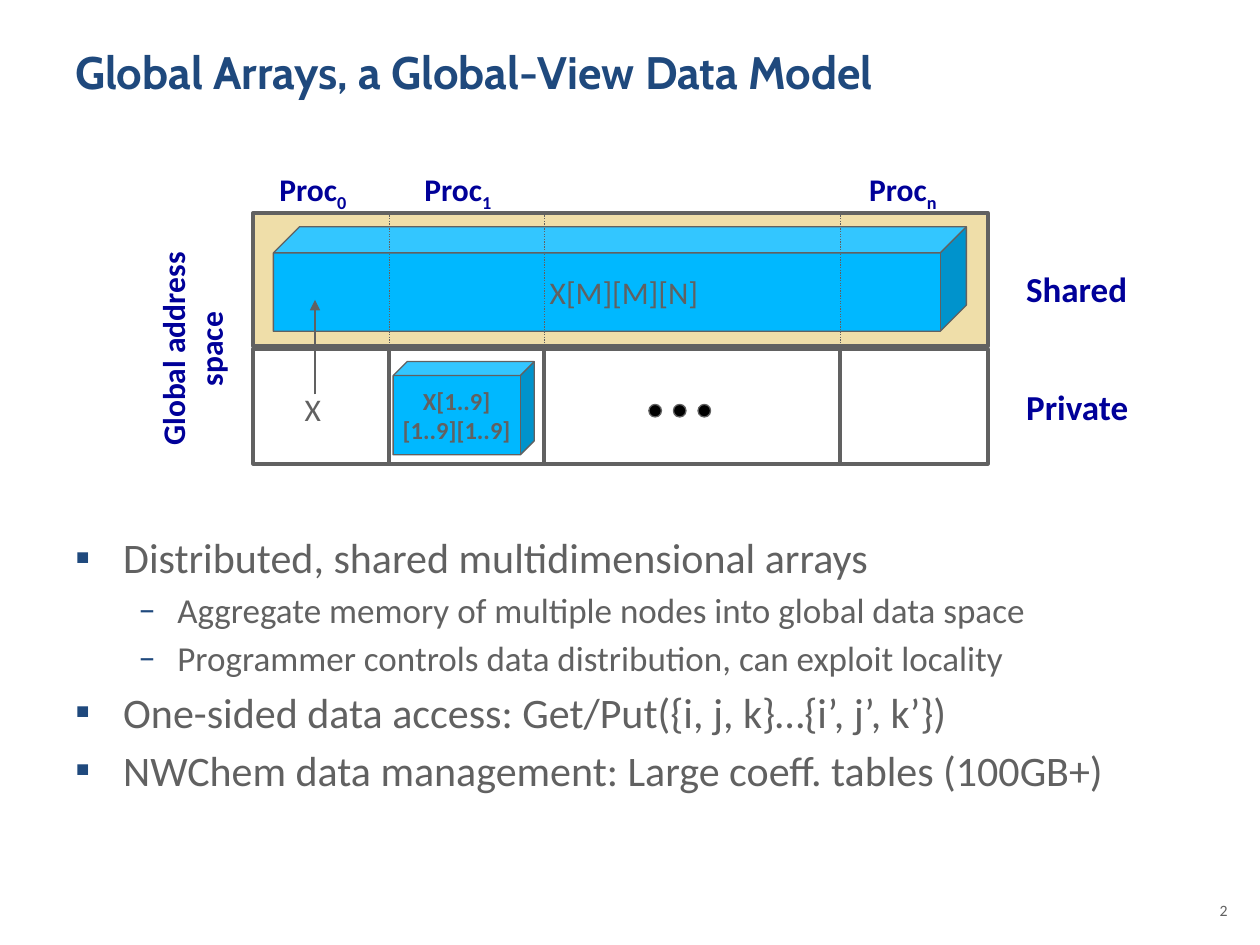
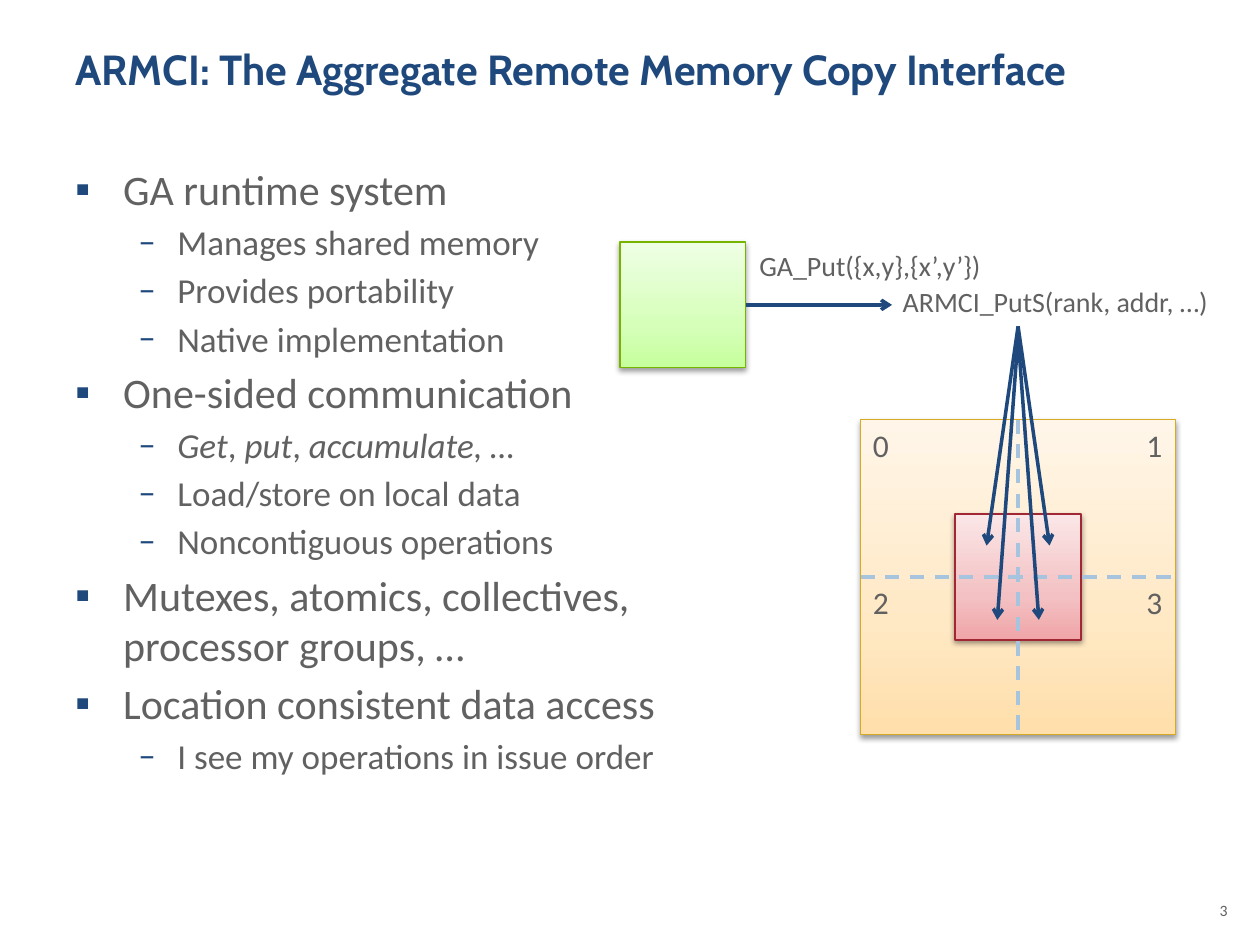
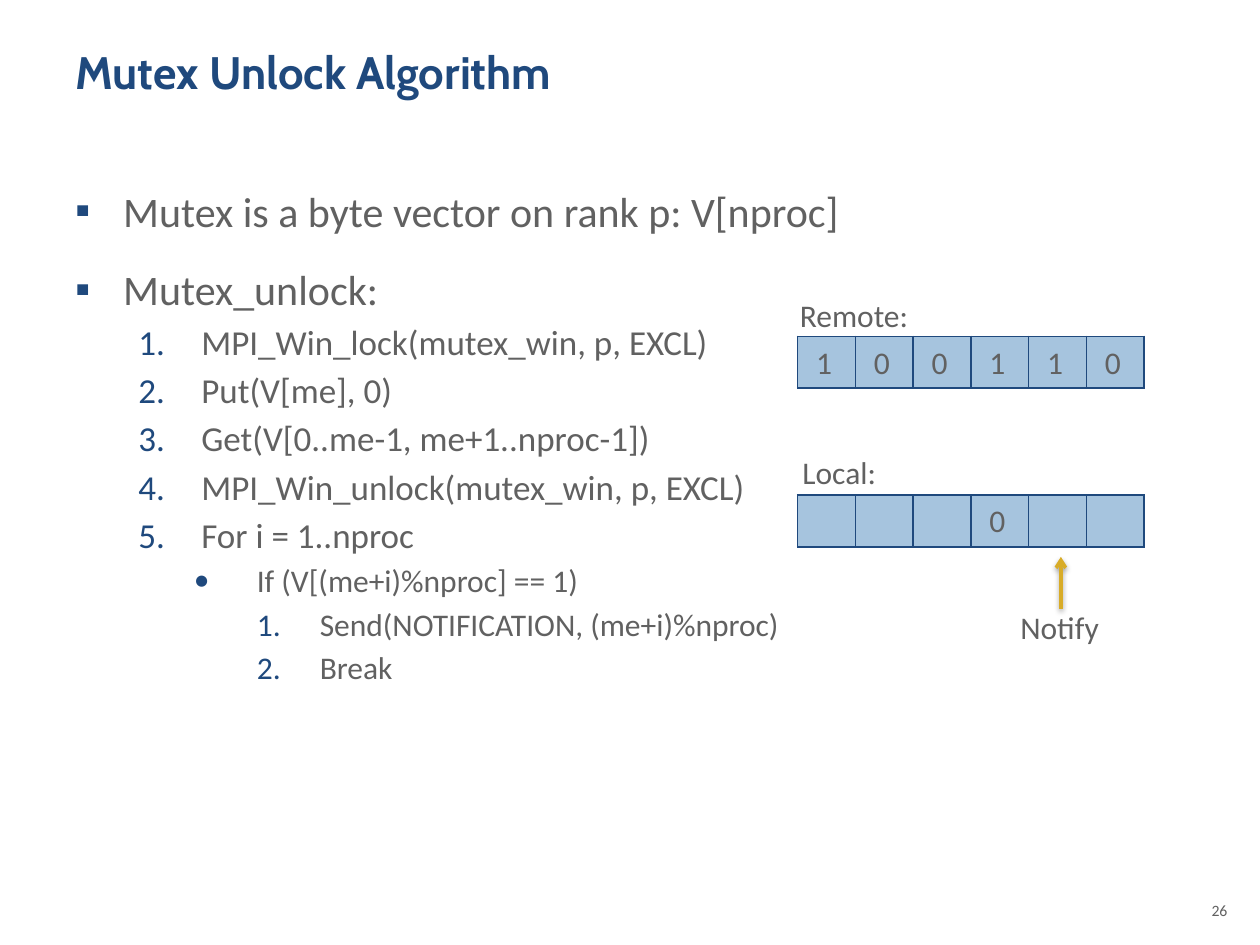
from copy import deepcopy
from dataclasses import dataclass

from lxml.etree import SubElement
from pptx import Presentation
from pptx.dml.color import RGBColor
from pptx.enum.dml import MSO_LINE
from pptx.enum.shapes import MSO_CONNECTOR, MSO_SHAPE
from pptx.enum.text import MSO_ANCHOR, PP_ALIGN
from pptx.oxml import parse_xml
from pptx.oxml.ns import nsdecls, qn
from pptx.util import Inches, Pt

RECT, CUBE, OVAL = MSO_SHAPE.RECTANGLE, MSO_SHAPE.CUBE, MSO_SHAPE.OVAL
LEFT, CENTER, RIGHT = PP_ALIGN.LEFT, PP_ALIGN.CENTER, PP_ALIGN.RIGHT
TOP, MIDDLE = MSO_ANCHOR.TOP, MSO_ANCHOR.MIDDLE
DASH, DOT = MSO_LINE.DASH, MSO_LINE.ROUND_DOT


@dataclass(frozen=True)
class Theme:
    title_font: str = "Cabin"
    text_font: str = "Calibri"
    navy: str = "1F497D"
    gray: str = "616161"
    label_blue: str = "000099"
    sand: str = "EFDEA9"
    cyan: str = "00B8FF"
    black: str = "000000"
    pale_blue: str = "A6C4DE"
    gold: str = "D8AC28"
    title_size: int = 26
    long_title_size: int = 24
    axis_size: int = 20
    label_size: int = 18
    call_size: int = 16
    block_size: int = 14
    number_size: int = 9
    space_share: float = 0.18


THEME = Theme()
SHADOW = (f'<a:outerShdw {nsdecls("a")} blurRad="40000" dist="20000" dir="5400000" '
          'rotWithShape="0"><a:srgbClr val="000000"><a:alpha val="38000"/>'
          '</a:srgbClr></a:outerShdw>')

# outline style: level, type size, left margin, hanging indent, bullet tag and attributes
NUMBERED = ("a:buAutoNum", {"type": "arabicPeriod"})
OUTLINE = {
    "point": (0, 24, 0.38, 0.38, "a:buChar", {"char": "▪"}),
    "detail": (1, 20, 0.81, 0.31, "a:buChar", {"char": "–"}),
    "step": (1, 20, 1, 0.5, *NUMBERED),
    "test": (2, 18, 1.44, 0.5, "a:buChar", {"char": "•"}),
    "substep": (3, 18, 1.94, 0.5, *NUMBERED),
}
ITALIC = {"italic": True}

PAGES = [
    ("Global Arrays, a Global-View Data Model", THEME.title_size, "2", 4.17, [
        ("point", "Distributed, shared multidimensional arrays"),
        ("detail", "Aggregate memory of multiple nodes into global data space"),
        ("detail", "Programmer controls data distribution, can exploit locality"),
        ("point", "One-sided data access: Get/Put({i, j, k}…{i’, j’, k’})"),
        ("point", "NWChem data management: Large coeff. tables (100GB+)"),
    ]),
    ("ARMCI: The Aggregate Remote Memory Copy Interface", THEME.long_title_size, "3", 1.25, [
        ("point", "GA runtime system"),
        ("detail", "Manages shared memory"),
        ("detail", "Provides portability"),
        ("detail", "Native implementation"),
        ("point", "One-sided communication"),
        ("detail", [("Get", ITALIC), (", ", {}), ("put", ITALIC), (", ", {}),
                    ("accumulate, …", ITALIC)]),
        ("detail", "Load/store on local data"),
        ("detail", "Noncontiguous operations"),
        ("point", [("Mutexes, atomics, collectives,", {}), ("\n", {}),
                   ("processor groups, …", {})]),
        ("point", "Location consistent data access"),
        ("detail", "I see my operations in issue order"),
    ]),
    ("Mutex Unlock Algorithm", THEME.title_size, "26", 1.42, [
        ("point", "Mutex is a byte vector on rank p: V[nproc]"),
        ("point", "Mutex_unlock:"),
        ("step", "MPI_Win_lock(mutex_win, p, EXCL)"),
        ("step", "Put(V[me], 0)"),
        ("step", "Get(V[0..me-1, me+1..nproc-1])"),
        ("step", "MPI_Win_unlock(mutex_win, p, EXCL)"),
        ("step", "For i = 1..nproc"),
        ("test", "If (V[(me+i)%nproc] == 1)"),
        ("substep", "Send(NOTIFICATION, (me+i)%nproc)"),
        ("substep", "Break"),
    ]),
]


def write(shape, lines, size=THEME.label_size, color=THEME.gray, bold=False,
          font=THEME.text_font, align=LEFT, anchor=TOP, wrap=True):
    """Fill a shape with lines; a line is a string or a list of (text, font overrides)."""
    frame = shape.text_frame
    frame.word_wrap, frame.vertical_anchor = wrap, anchor
    for index, line in enumerate(lines):
        paragraph = frame.add_paragraph() if index else frame.paragraphs[0]
        paragraph.alignment = align
        for text, overrides in [(line, {})] if isinstance(line, str) else line:
            if text == "\n":
                paragraph.add_line_break()
                continue
            run = paragraph.add_run()
            run.text = text
            look = {"name": font, "size": Pt(size), "bold": bold, **overrides}
            for name, value in look.items():
                setattr(run.font, name, value)
            run.font.color.rgb = RGBColor.from_string(color)
    return shape


def add_line(slide, start, end, color, width, dash=None, head=None):
    line = slide.shapes.add_connector(MSO_CONNECTOR.STRAIGHT, *map(Inches, (*start, *end)))
    line.line.color.rgb = RGBColor.from_string(color)
    line.line.width = Pt(width)
    if dash:
        line.line.dash_style = dash
    if head:
        SubElement(line.line._get_or_add_ln(), qn("a:tailEnd"), type=head)
    SubElement(line._element.spPr, qn("a:effectLst"))
    return line


deck = Presentation()
deck.slide_width, deck.slide_height = Inches(10), Inches(7.5)

# Titles, outlines and page numbers
for title, title_size, number, body_top, outline in PAGES:
    slide = deck.slides.add_slide(deck.slide_layouts[6])
    write(slide.shapes.add_textbox(*map(Inches, (0.5, 0.3, 9, 1.03))), [title],
          title_size, THEME.navy, True, THEME.title_font)
    body = slide.shapes.add_textbox(*map(Inches, (0.5, body_top, 9, 7 - body_top)))
    write(body, [text for _, text in outline])
    for index, (paragraph, (style, _)) in enumerate(zip(body.text_frame.paragraphs, outline)):
        level, size, margin, hanging, bullet, attributes = OUTLINE[style]
        properties = paragraph._p.get_or_add_pPr()
        properties.set("marL", str(Inches(margin)))
        properties.set("indent", str(-Inches(hanging)))
        SubElement(SubElement(properties, qn("a:buClr")), qn("a:srgbClr"), val=THEME.navy)
        SubElement(properties, qn("a:buFont"), typeface=THEME.text_font)
        SubElement(properties, qn(bullet), attributes)
        paragraph.level = level
        if index:
            paragraph.space_before = Pt(size * THEME.space_share)
        for run in paragraph.runs:
            run.font.size = Pt(size)
    write(slide.shapes.add_textbox(*map(Inches, (9.42, 7.1, 0.42, 0.4))), [number],
          THEME.number_size, align=RIGHT)

arrays_slide, armci_slide, mutex_slide = deck.slides
body.text_frame.paragraphs[1].space_before = Pt(16)

# Global arrays: shared and private memory of each process
memory_left, memory_width = 2.01, 5.83
shared_top, private_top, private_bottom = 1.69, 2.77, 3.68
process_edges = [3.09, 4.32, 6.67]
dot_size, dot_step = 0.1, 0.195

memory_parts = [
    (RECT, (memory_left, shared_top, memory_width, 1.06), THEME.sand, 2.25),
    (RECT, (memory_left, private_top, memory_width, private_bottom - private_top), None, 2.25),
    *[(OVAL, (5.15 + i * dot_step, 3.21, dot_size, dot_size), THEME.black, 0.75)
      for i in range(3)],
    (CUBE, (2.17, 1.8, 5.5, 0.83), THEME.cyan, 0.75),
    (CUBE, (3.12, 2.87, 1.12, 0.74), THEME.cyan, 0.75),
]
drawn_parts = []
for preset, box, fill, width in memory_parts:
    part = arrays_slide.shapes.add_shape(preset, *map(Inches, box))
    part.shadow.inherit = False
    if fill:
        part.fill.solid()
        part.fill.fore_color.rgb = RGBColor.from_string(fill)
    else:
        part.fill.background()
    part.line.color.rgb = RGBColor.from_string(THEME.gray)
    part.line.width = Pt(width)
    drawn_parts.append(part)

global_array, local_block = drawn_parts[-2:]
global_array.adjustments[0], local_block.adjustments[0] = 0.25, 0.15
write(global_array, ["X[M][M][N]"], align=CENTER, anchor=MIDDLE, wrap=False)
global_array.text_frame.margin_left = Inches(0.37)
write(local_block, ["X[1..9]", "[1..9][1..9]"], THEME.block_size, bold=True,
      align=CENTER, anchor=MIDDLE, wrap=False)

for edge in process_edges:
    add_line(arrays_slide, (edge, private_top), (edge, private_bottom), THEME.gray, 2.25)
    add_line(arrays_slide, (edge, shared_top), (edge, private_bottom), THEME.gray, 0.75, DOT)
add_line(arrays_slide, (2.5, 3.13), (2.5, 2.38), THEME.gray, 0.75, head="triangle")

for label, box in [("Shared", (8, 2.04, 1.09, 0.5)), ("Private", (8.02, 2.98, 1.06, 0.5))]:
    write(arrays_slide.shapes.add_textbox(*map(Inches, box)), [label], THEME.axis_size,
          THEME.label_blue, True, align=CENTER, anchor=MIDDLE, wrap=False)
address_space = arrays_slide.shapes.add_textbox(*map(Inches, (0.54, 2.42, 1.96, 0.7)))
address_space.rotation = 270
write(address_space, ["Global address space"], color=THEME.label_blue, bold=True, align=CENTER)
write(arrays_slide.shapes.add_textbox(*map(Inches, (2.32, 3.05, 0.37, 0.4))), ["X"], wrap=False)

process_names = arrays_slide.shapes.add_textbox(
    *map(Inches, (memory_left, 1.3, memory_width, 0.4)))
write(process_names, [[(text, {}) for rank in "01n" for text in ("\tProc", rank)]],
      color=THEME.label_blue, bold=True)
process_line = process_names.text_frame.paragraphs[0]
tab_stops = SubElement(process_line._p.get_or_add_pPr(), qn("a:tabLst"))
for stop in (0.11, 1.26, 4.79):
    SubElement(tab_stops, qn("a:tab"), pos=str(Inches(stop)), algn="l")
for rank in process_line.runs[1::2]:
    rank.font._rPr.set("baseline", "-25000")

# ARMCI: a put spread over four ranks
ranks_left, ranks_top, ranks_side = 6.83, 3.33, 2.5
ranks_right, ranks_bottom = ranks_left + ranks_side, ranks_top + ranks_side
center_x, center_y = ranks_left + ranks_side / 2, ranks_top + ranks_side / 2

patches = [
    (4.92, 1.92, 1, "77B400", ("C6FF9D", "D6FFBA", "EFFFE5")),
    (ranks_left, ranks_top, ranks_side, "D8AA23", ("FFDFAB", "FFE8C4", "FFF6E9")),
    (center_x - 0.5, center_y - 0.5, 1, "A12734", ("F0A5A8", "F3C1C3", "FBE6E7")),
]
for left, top, side, outline_color, shades in patches:
    patch = armci_slide.shapes.add_shape(RECT, *map(Inches, (left, top, side, side)))
    patch.fill.gradient()
    patch.fill.gradient_angle = 90
    stops = patch._element.spPr.find(".//" + qn("a:gsLst"))
    stops.insert(1, deepcopy(stops[0]))
    for stop, position, shade in zip(patch.fill.gradient_stops, (0, 0.35, 1), shades):
        stop.position = position
        stop.color.rgb = RGBColor.from_string(shade)
    patch.line.color.rgb = RGBColor.from_string(outline_color)
    patch.line.width = Pt(0.75)
    patch.shadow.inherit = False
    patch._element.spPr.find(qn("a:effectLst")).append(parse_xml(SHADOW))

add_line(armci_slide, (center_x, ranks_top), (center_x, ranks_bottom), THEME.pale_blue, 2, DASH)
add_line(armci_slide, (ranks_left, center_y), (ranks_right, center_y), THEME.pale_blue, 2, DASH)
add_line(armci_slide, (5.92, 2.42), (7.08, 2.42), THEME.navy, 2, head="arrow")
for start_y, spread, end_y in [(2.59, 0.25, 4.33), (2.67, 0.165, 4.92)]:
    for side in (-1, 1):
        add_line(armci_slide, (center_x, start_y), (center_x + side * spread, end_y),
                 THEME.navy, 2, head="arrow")

for rank in range(4):
    row, column = divmod(rank, 2)
    box = (ranks_left + column * 2.17, ranks_top + row * ranks_side / 2, 0.33, 0.4)
    write(armci_slide.shapes.add_textbox(*map(Inches, box)), [str(rank)], wrap=False)
for call, box in [("GA_Put({x,y},{x’,y’})", (5.81, 1.92, 2.19, 0.37)),
                  ("ARMCI_PutS(rank, addr, …)", (7, 2.21, 2.75, 0.37))]:
    write(armci_slide.shapes.add_textbox(*map(Inches, box)), [call], THEME.call_size,
          align=CENTER, anchor=MIDDLE)

# Mutex unlock: remote and local byte vectors
vector_left, vector_width, cell_height = 6.33, 2.75, 0.41
vectors = [(2.67, ["1", "0", "0", "1", "1", "0"]), (3.93, ["", "", "", "0", "", ""])]
for top, values in vectors:
    vector = mutex_slide.shapes.add_table(
        1, len(values), *map(Inches, (vector_left, top, vector_width, cell_height))).table
    vector.first_row = vector.horz_banding = False
    for cell in vector.iter_cells():
        for side in ("a:lnL", "a:lnR", "a:lnT", "a:lnB"):
            border = SubElement(cell._tc.get_or_add_tcPr(), qn(side), w=str(Pt(1)))
            SubElement(SubElement(border, qn("a:solidFill")), qn("a:srgbClr"), val=THEME.navy)
        cell.fill.solid()
        cell.fill.fore_color.rgb = RGBColor.from_string(THEME.pale_blue)
    for column, value in enumerate(values):
        if value:
            box = (vector_left + column * vector_width / len(values), top, 0.42, 0.4)
            write(mutex_slide.shapes.add_textbox(*map(Inches, box)), [value],
                  align=CENTER, anchor=MIDDLE)

for label, box in [("Remote:", (6.25, 2.3, 1.07, 0.4)), ("Local:", (6.27, 3.55, 0.79, 0.4)),
                   ("Notify", (8, 4.78, 0.83, 0.4))]:
    write(mutex_slide.shapes.add_textbox(*map(Inches, box)), [label], wrap=False)
notify_arrow = add_line(mutex_slide, (8.42, 4.83), (8.42, 4.42), THEME.gold, 2, head="arrow")
notify_arrow._element.spPr.find(qn("a:effectLst")).append(parse_xml(SHADOW))

deck.save("out.pptx")
